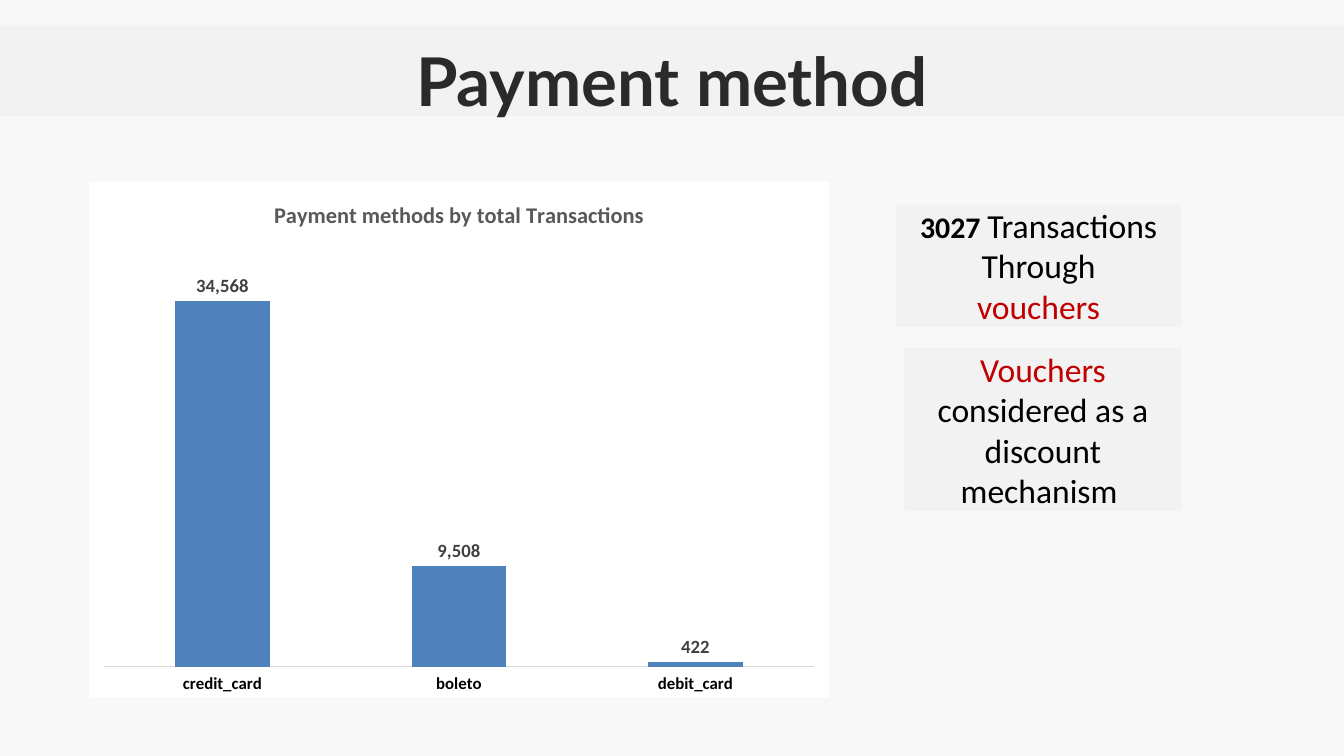
from lxml.etree import SubElement
from pptx import Presentation
from pptx.chart.data import CategoryChartData
from pptx.dml.color import RGBColor
from pptx.enum.chart import XL_CHART_TYPE, XL_TICK_LABEL_POSITION, XL_TICK_MARK
from pptx.enum.shapes import MSO_SHAPE
from pptx.enum.text import MSO_ANCHOR, MSO_AUTO_SIZE, PP_ALIGN
from pptx.oxml import parse_xml
from pptx.oxml.ns import qn
from pptx.util import Inches, Pt

COLORS = {
    "background": "F8F8F8", "panel": "F2F2F2", "title": "2B2929",
    "text": "000000", "accent": "C00000", "chart": "FFFFFF",
    "chart_title": "595959", "label": "404040", "bar": "4F81BD",
    "axis": "D9D9D9",
}
PAYMENTS = {"credit_card": 34568, "boleto": 9508, "debit_card": 422}
AXIS_MAXIMUM = 40000
# Plot area as fractions of the chart
PLOT_AREA = {"x": 0.02, "y": 0.12, "w": 0.96, "h": 0.82}
LABEL_GAP = 0.03


def color(name):
    return RGBColor.from_string(COLORS[name])


def set_fill(item, name):
    item.fill.solid()
    item.fill.fore_color.rgb = color(name)


def format_font(font, size, name="text", bold=False, face="Calibri"):
    font.size = Pt(size)
    font.bold = bold
    font.name = face
    font.color.rgb = color(name)


def add_run(paragraph, text, **font_format):
    run = paragraph.add_run()
    run.text = text
    format_font(run.font, **font_format)


def prepare_frame(frame, anchor):
    frame.margin_left = frame.margin_right = 0
    frame.margin_top = frame.margin_bottom = 0
    frame.word_wrap = True
    frame.auto_size = MSO_AUTO_SIZE.NONE
    frame.vertical_anchor = anchor


def place_title(slide, text, left, top, width, height):
    title = slide.shapes.title
    title.left, title.top, title.width, title.height = left, top, width, height
    set_fill(title, "panel")
    prepare_frame(title.text_frame, MSO_ANCHOR.TOP)
    paragraph = title.text_frame.paragraphs[0]
    paragraph.alignment = PP_ALIGN.CENTER
    paragraph.line_spacing = Pt(100.8)
    add_run(paragraph, text, size=72, name="title", bold=True, face="Lato")


def add_layout(parent, index, **measures):
    """Insert a manual chart layout into a chart element."""
    layout = parent.makeelement(qn("c:layout"))
    manual = SubElement(layout, qn("c:manualLayout"))
    for tag, value in measures.items():
        SubElement(manual, qn(f"c:{tag}")).set("val", str(value))
    parent.insert(index, layout)


def place_labels(series):
    """Put each value just above its stacked column, without leader lines."""
    for index in range(len(PAYMENTS)):
        format_font(series.points[index].data_label.font, 20, "label", True)
    for label, value in zip(series._element.iter(qn("c:dLbl")), PAYMENTS.values()):
        half_bar = value / AXIS_MAXIMUM * PLOT_AREA["h"] / 2
        add_layout(label, 1, x=0, y=round(-half_bar - LABEL_GAP, 3))
    for leader_lines in series._element.iter(qn("c:showLeaderLines")):
        leader_lines.set("val", "0")


def place_chart(slide, left, top, width, height):
    data = CategoryChartData(number_format="#,##0")
    data.categories = list(PAYMENTS)
    data.add_series("Series 1", list(PAYMENTS.values()))
    chart = slide.shapes.add_chart(
        XL_CHART_TYPE.COLUMN_STACKED, left, top, width, height, data).chart
    format_font(chart.font, 10)
    chart.has_legend = False
    paragraph = chart.chart_title.text_frame.paragraphs[0]
    add_run(paragraph, "Payment methods by total Transactions",
            size=24, name="chart_title", bold=True)

    # Axes
    category_axis = chart.category_axis
    category_axis.major_tick_mark = XL_TICK_MARK.NONE
    category_axis.tick_label_position = XL_TICK_LABEL_POSITION.LOW
    format_font(category_axis.tick_labels.font, 18, bold=True)
    category_axis.format.line.color.rgb = color("axis")
    category_axis.format.line.width = Pt(0.75)
    value_axis = chart.value_axis
    value_axis.minimum_scale = 0
    value_axis.maximum_scale = AXIS_MAXIMUM
    value_axis.has_major_gridlines = False
    value_axis.visible = False

    # Columns and labels
    plot = chart.plots[0]
    plot.vary_by_categories = False
    plot.gap_width = 150
    plot.overlap = 100
    series = plot.series[0]
    set_fill(series.format, "bar")
    labels = series.data_labels
    labels.show_value = True
    labels.number_format = "#,##0"
    labels.number_format_is_linked = False
    format_font(labels.font, 20, "label", True)
    place_labels(series)

    # Plot area and white background
    chart_space = chart._chartSpace
    plot_area = chart_space.find(".//" + qn("c:plotArea"))
    for layout in plot_area.findall(qn("c:layout")):
        plot_area.remove(layout)
    add_layout(plot_area, 0, layoutTarget="inner", xMode="edge", yMode="edge",
               **PLOT_AREA)
    background = parse_xml(
        '<c:spPr xmlns:c="http://schemas.openxmlformats.org/drawingml/2006/chart" '
        'xmlns:a="http://schemas.openxmlformats.org/drawingml/2006/main">'
        f'<a:solidFill><a:srgbClr val="{COLORS["chart"]}"/></a:solidFill>'
        '<a:ln><a:noFill/></a:ln></c:spPr>')
    chart_space.find(qn("c:chart")).addnext(background)


def place_note(slide, paragraphs, left, top, width, height):
    note = slide.shapes.add_shape(MSO_SHAPE.RECTANGLE, left, top, width, height)
    note.shadow.inherit = False
    set_fill(note, "panel")
    note.line.fill.background()
    frame = note.text_frame
    prepare_frame(frame, MSO_ANCHOR.MIDDLE)
    for index, runs in enumerate(paragraphs):
        paragraph = frame.add_paragraph() if index else frame.paragraphs[0]
        paragraph.alignment = PP_ALIGN.CENTER
        for text, font_format in runs:
            add_run(paragraph, text, **font_format)


def main():
    presentation = Presentation()
    presentation.slide_width = Inches(20)
    presentation.slide_height = Inches(11.25)
    slide = presentation.slides.add_slide(
        presentation.slide_layouts.get_by_name("Title Only"))
    set_fill(slide.background, "background")

    place_title(slide, "Payment method",
                Inches(0), Inches(0.38), Inches(20), Inches(1.35))
    place_chart(slide, Inches(1.33), Inches(2.71), Inches(11), Inches(7.67))

    # Voucher notes
    plain = {"size": 36}
    accent = {"size": 36, "name": "accent"}
    place_note(slide,
               [[("3027 ", {"size": 32, "bold": True}),
                 ("Transactions Through", plain)],
                [(" vouchers ", accent)]],
               Inches(13.33), Inches(3.04), Inches(4.25), Inches(1.82))
    place_note(slide,
               [[("Vouchers ", accent),
                 ("considered as a discount mechanism ", plain)]],
               Inches(13.46), Inches(5.18), Inches(4.12), Inches(2.42))
    presentation.save("out.pptx")


if __name__ == "__main__":
    main()
